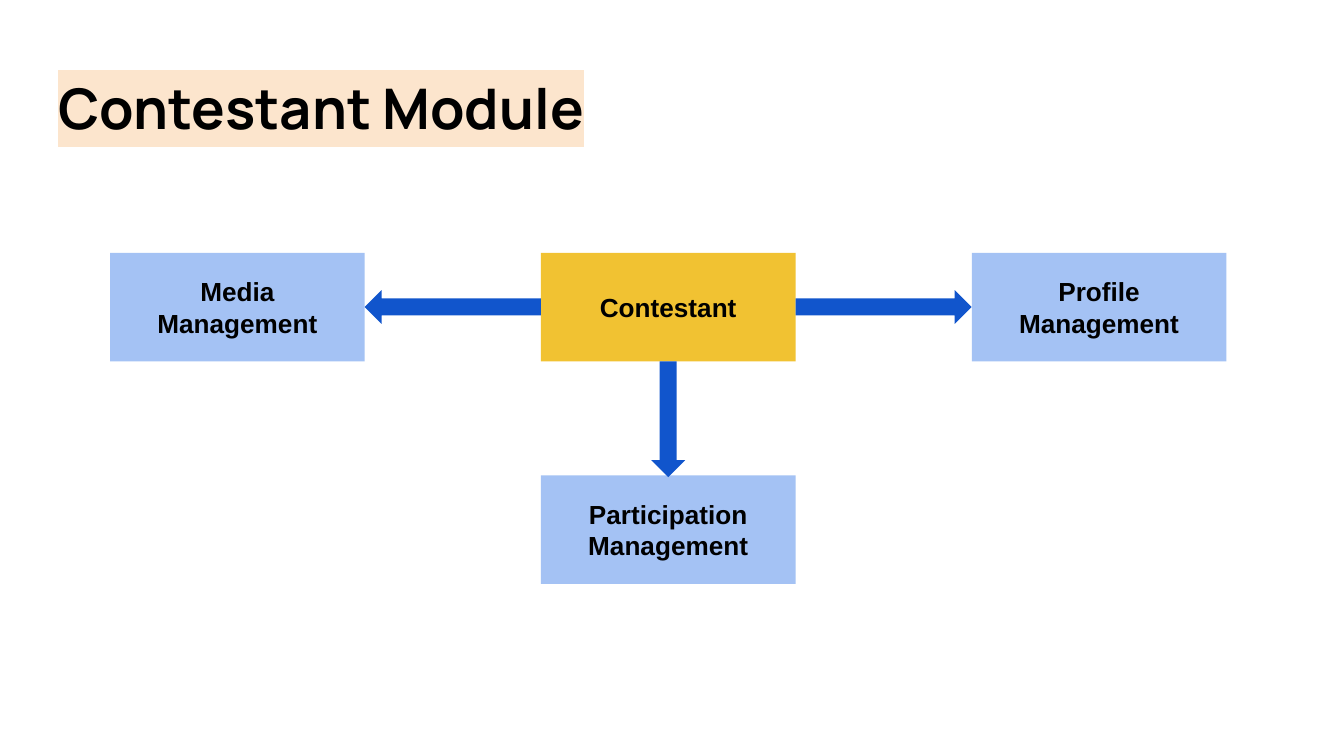
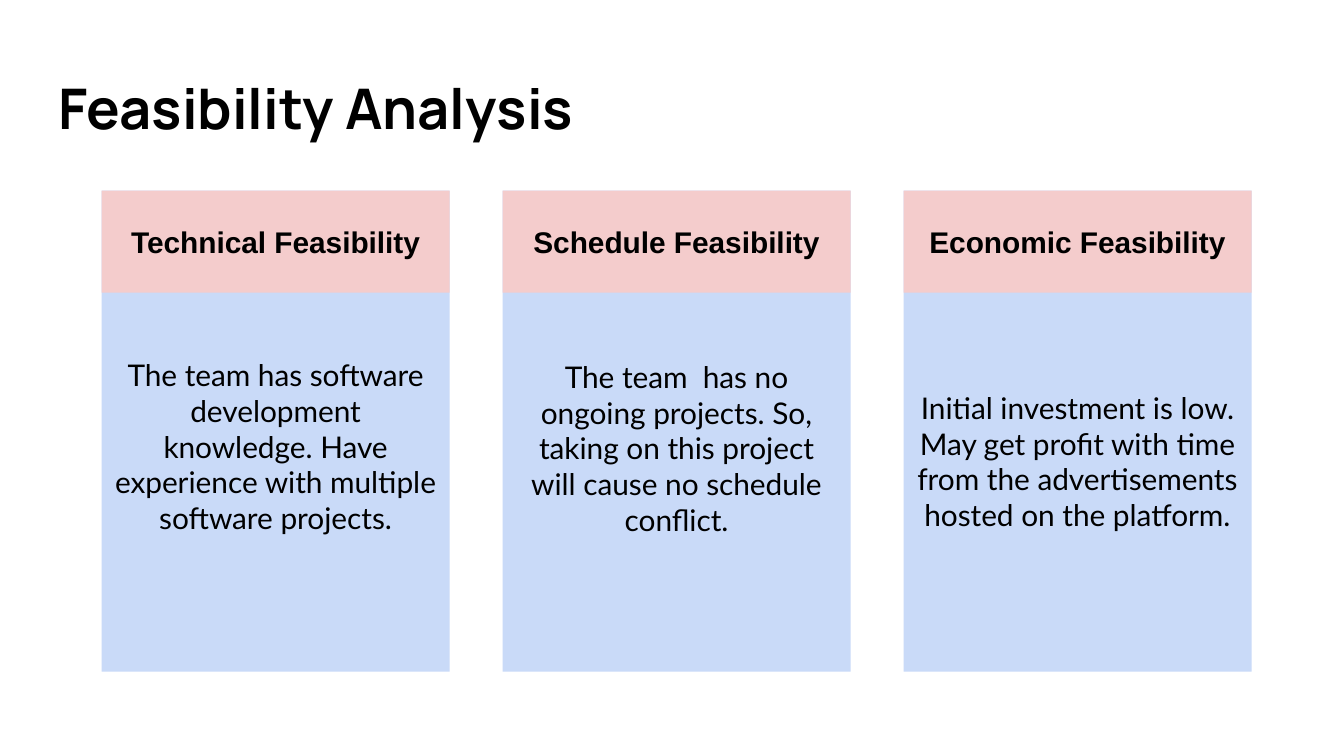
from dataclasses import dataclass

from lxml import etree
from pptx import Presentation
from pptx.dml.color import RGBColor
from pptx.enum.shapes import MSO_SHAPE
from pptx.enum.text import MSO_ANCHOR, MSO_AUTO_SIZE, PP_ALIGN
from pptx.oxml.ns import qn
from pptx.util import Pt

RECTANGLE = MSO_SHAPE.RECTANGLE
LEFT_ARROW = MSO_SHAPE.LEFT_ARROW
RIGHT_ARROW = MSO_SHAPE.RIGHT_ARROW
DOWN_ARROW = MSO_SHAPE.DOWN_ARROW
TOP, MIDDLE = MSO_ANCHOR.TOP, MSO_ANCHOR.MIDDLE
LEFT, CENTER = PP_ALIGN.LEFT, PP_ALIGN.CENTER
NO_AUTOFIT = MSO_AUTO_SIZE.NONE


@dataclass(frozen=True)
class Theme:
    background: str = "FFFFFF"
    text: str = "000000"
    highlight: str = "FCE5CD"
    actor: str = "F1C232"
    module: str = "A4C2F4"
    arrow: str = "1155CC"
    card: str = "C9DAF8"
    card_header: str = "F4CCCC"
    title_font: str = "Manrope"
    label_font: str = "Arial"
    body_font: str = "Lato"
    title_size: float = 30
    module_size: float = 14
    card_size: float = 16
    inset: float = 7.2


theme = Theme()


def write_text(shape, text, *, font, size, bold=True, align=CENTER, anchor=MIDDLE,
               extra_top=0, highlight=None):
    frame = shape.text_frame
    frame.word_wrap = True
    frame.auto_size = NO_AUTOFIT
    frame.vertical_anchor = anchor
    frame.margin_left = frame.margin_right = frame.margin_bottom = Pt(theme.inset)
    frame.margin_top = Pt(theme.inset + extra_top)
    paragraph = frame.paragraphs[0]
    paragraph.alignment = align
    run = paragraph.add_run()
    run.text = text
    run.font.size = Pt(size)
    run.font.bold = bold
    run.font.color.rgb = RGBColor.from_string(theme.text)
    if highlight:
        marker = etree.SubElement(run.font._element, qn("a:highlight"))
        etree.SubElement(marker, qn("a:srgbClr"), val=highlight)
    run.font.name = font


def add_block(shapes, kind, left, top, width, height, color):
    shape = shapes.add_shape(kind, Pt(left), Pt(top), Pt(width), Pt(height))
    shape.shadow.inherit = False
    shape.fill.solid()
    shape.fill.fore_color.rgb = RGBColor.from_string(color)
    shape.line.fill.background()
    return shape


presentation = Presentation()
presentation.slide_width = Pt(720)
presentation.slide_height = Pt(405)
blank_layout = presentation.slide_layouts[6]

slides = []
for title, highlight in [("Contestant Module", theme.highlight), ("Feasibility Analysis", None)]:
    slide = presentation.slides.add_slide(blank_layout)
    slide.background.fill.solid()
    slide.background.fill.fore_color.rgb = RGBColor.from_string(theme.background)
    title_box = slide.shapes.add_textbox(Pt(24), Pt(32.4), Pt(671), Pt(50.4))
    write_text(title_box, title, font=theme.title_font, size=theme.title_size,
               align=LEFT, anchor=TOP, highlight=highlight)
    slides.append(slide)
module_slide, feasibility_slide = slides

box_width, box_height = 136.4, 58.2
box_left, box_top = 59, 135.4
column_step, row_step = 230.8, 119.3
modules = [
    ("Contestant", 1, 0, theme.actor),
    ("Profile Management", 2, 0, theme.module),
    ("Participation Management", 1, 1, theme.module),
    ("Media Management", 0, 0, theme.module),
]
for label, column, row, color in modules:
    box = add_block(module_slide.shapes, RECTANGLE, box_left + column * column_step,
                    box_top + row * row_step, box_width, box_height, color)
    write_text(box, label, font=theme.label_font, size=theme.module_size)

arrow_thickness = 18.2
arrow_length = column_step - box_width
actor_left = box_left + column_step
arrow_top = box_top + (box_height - arrow_thickness) / 2
for kind, left in [(LEFT_ARROW, actor_left - arrow_length), (RIGHT_ARROW, actor_left + box_width)]:
    add_block(module_slide.shapes, kind, left, arrow_top, arrow_length, arrow_thickness, theme.arrow)
add_block(module_slide.shapes, DOWN_ARROW, actor_left + (box_width - arrow_thickness) / 2,
          box_top + box_height, arrow_thickness, 62, theme.arrow)

card_left, card_top, card_step = 54.5, 102.2, 214.8
card_width, card_height, header_height = 186.4, 257.6, 54.6
cards = [
    ("Technical Feasibility",
     "The team has software development knowledge. Have experience with multiple software projects.", 16),
    ("Schedule Feasibility",
     "The team  has no ongoing projects. So, taking on this project will cause no schedule conflict.", 18),
    ("Economic Feasibility",
     "Initial investment is low. May get profit with time from the advertisements hosted on the platform.", 32),
]
for index, (heading, description, extra_top) in enumerate(cards):
    left = card_left + index * card_step
    card = feasibility_slide.shapes.add_group_shape()
    body = add_block(card.shapes, RECTANGLE, left, card_top, card_width, card_height, theme.card)
    write_text(body, description, font=theme.body_font, size=theme.card_size, bold=False,
               extra_top=extra_top)
    header = add_block(card.shapes, RECTANGLE, left, card_top, card_width, header_height,
                       theme.card_header)
    write_text(header, heading, font=theme.label_font, size=theme.card_size)

presentation.save("out.pptx")
